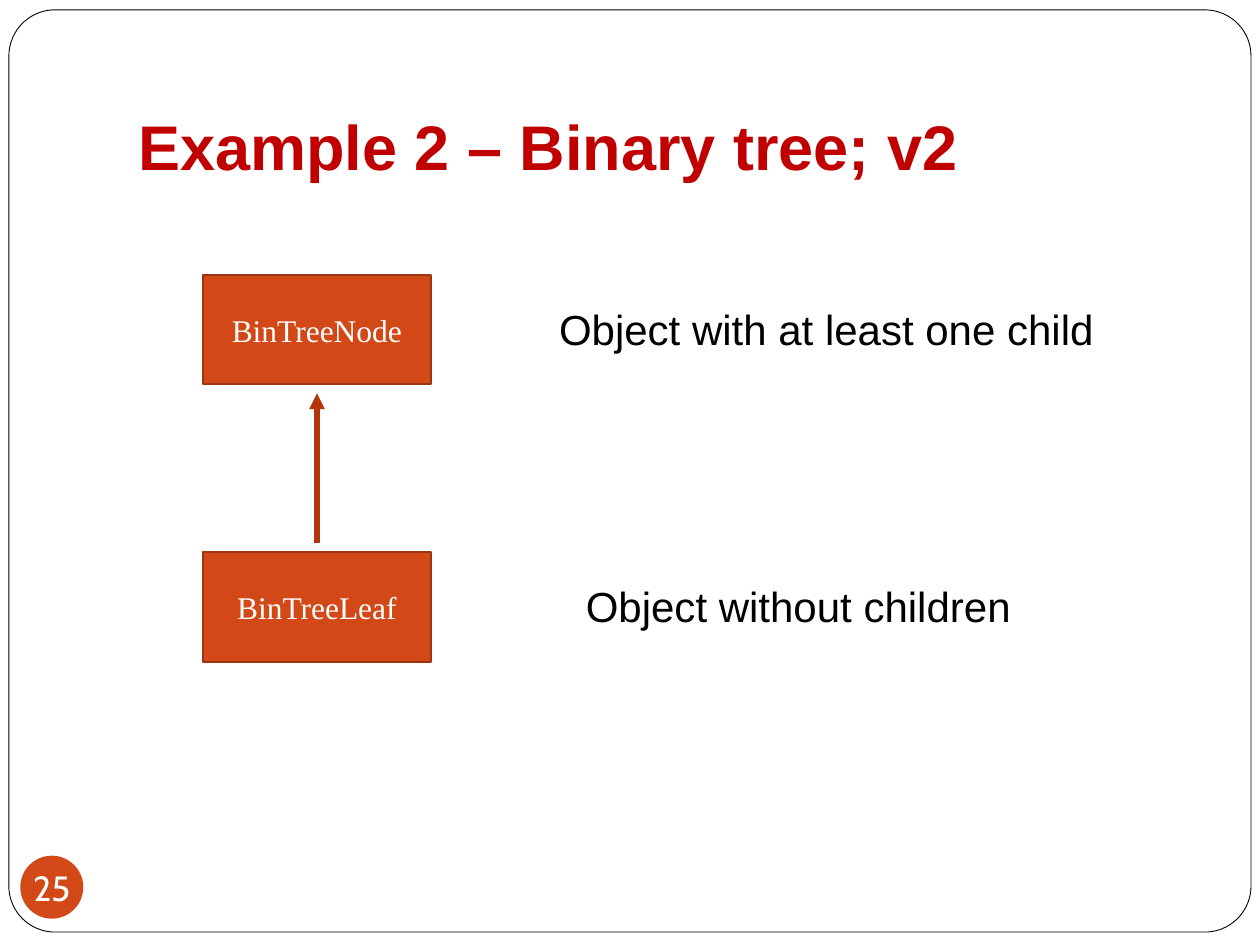
from lxml.etree import SubElement
from pptx import Presentation
from pptx.dml.color import RGBColor
from pptx.enum.shapes import MSO_CONNECTOR as Connector, MSO_SHAPE as Shape
from pptx.enum.text import MSO_ANCHOR as Anchor, MSO_AUTO_SIZE as AutoSize, PP_ALIGN as Align
from pptx.oxml.ns import qn
from pptx.util import Cm, Pt

WHITE = RGBColor(0xFF, 0xFF, 0xFF)
BLACK = RGBColor(0x00, 0x00, 0x00)
RED = RGBColor(0xC0, 0x00, 0x00)
ORANGE = RGBColor(0xD3, 0x48, 0x17)
BROWN = RGBColor(0x9C, 0x35, 0x11)
RUST = RGBColor(0xB1, 0x36, 0x0B)

TITLE_FONT = {"name": "Arial", "size": Pt(36), "bold": True}
NOTE_FONT = {"name": "Arial", "size": Pt(24)}
CLASS_FONT = {"name": "Times New Roman", "size": Pt(18)}
NUMBER_FONT = {"name": "Cabin", "size": Pt(20)}

NO_MARGINS = dict.fromkeys(("margin_left", "margin_top", "margin_right", "margin_bottom"), 0)


def set_values(target, values):
    for name, value in values.items():
        setattr(target, name, value)


def write(box, text, font, color, align=Align.LEFT, **frame_values):
    set_values(box.text_frame, frame_values)
    para = box.text_frame.paragraphs[0]
    para.alignment = align
    span = para.add_run()
    span.text = text
    set_values(span.font, font)
    span.font.color.rgb = color


def add_panel(page, kind, left, top, width, height, fill, line=None, line_width=1):
    panel = page.shapes.add_shape(kind, Cm(left), Cm(top), Cm(width), Cm(height))
    panel.shadow.inherit = False
    panel.fill.solid()
    panel.fill.fore_color.rgb = fill
    if line is None:
        panel.line.fill.background()
    else:
        panel.line.color.rgb = line
        panel.line.width = Pt(line_width)
    return panel


def add_text_box(page, left, top, width, height):
    return page.shapes.add_textbox(Cm(left), Cm(top), Cm(width), Cm(height))


def add_frame(page, left, top, width, height):
    frame = add_panel(page, Shape.ROUNDED_RECTANGLE, left, top, width, height, WHITE, BLACK, 0.5)
    frame.adjustments[0] = 0.05


def add_title(page, left, top, width, height):
    box = add_text_box(page, left, top, width, height)
    write(box, "Example 2 – Binary tree; v2", TITLE_FONT, RED, word_wrap=True,
          vertical_anchor=Anchor.BOTTOM, margin_bottom=Cm(0.25))


def add_page_number(page, left, top, size):
    badge = add_panel(page, Shape.OVAL, left, top, size, size, ORANGE)
    write(badge, "25", NUMBER_FONT, WHITE, Align.CENTER, word_wrap=False,
          vertical_anchor=Anchor.MIDDLE, **NO_MARGINS)


def add_arrow(page, x, bottom, top):
    arrow = page.shapes.add_connector(Connector.STRAIGHT, Cm(x), Cm(bottom), Cm(x), Cm(top))
    arrow.line.color.rgb = RUST
    arrow.line.width = Pt(3)
    SubElement(arrow.line._get_or_add_ln(), qn("a:tailEnd"), type="triangle")
    SubElement(arrow._element.spPr, qn("a:effectLst"))


def add_class_diagram(page, left, top, height):
    class_width, class_height, gap = 4.6, 2.21, 0.18
    pitch = height - class_height
    # Class name, note, note offset from the class box, note width
    rows = [
        ("BinTreeNode", "Object with at least one child", 6.93, 11.4),
        ("BinTreeLeaf", "Object without children", 7.47, 9.17),
    ]
    for index, (name, note, offset, note_width) in enumerate(rows):
        row_top = top + index * pitch
        box = add_panel(page, Shape.RECTANGLE, left, row_top, class_width, class_height,
                        ORANGE, BROWN)
        write(box, name, CLASS_FONT, WHITE, Align.CENTER, word_wrap=True,
              vertical_anchor=Anchor.MIDDLE)
        label = add_text_box(page, left + offset, row_top + 0.45, note_width, 1.27)
        write(label, note, NOTE_FONT, BLACK, word_wrap=False,
              auto_size=AutoSize.SHAPE_TO_FIT_TEXT)
    # Arrow from the leaf up to the node
    add_arrow(page, left + class_width / 2, top + pitch - gap, top + class_height + gap)


def main():
    deck = Presentation()
    deck.slide_width, deck.slide_height = Cm(25.4), Cm(19.05)
    page = deck.slides.add_slide(deck.slide_layouts[6])
    add_frame(page, 0.18, 0.2, 25.04, 18.59)
    add_title(page, 2.54, 0.76, 21.59, 3.18)
    add_page_number(page, 0.41, 17.25, 1.27)
    add_class_diagram(page, 4.09, 5.54, 7.8)
    deck.save("out.pptx")


if __name__ == "__main__":
    main()
